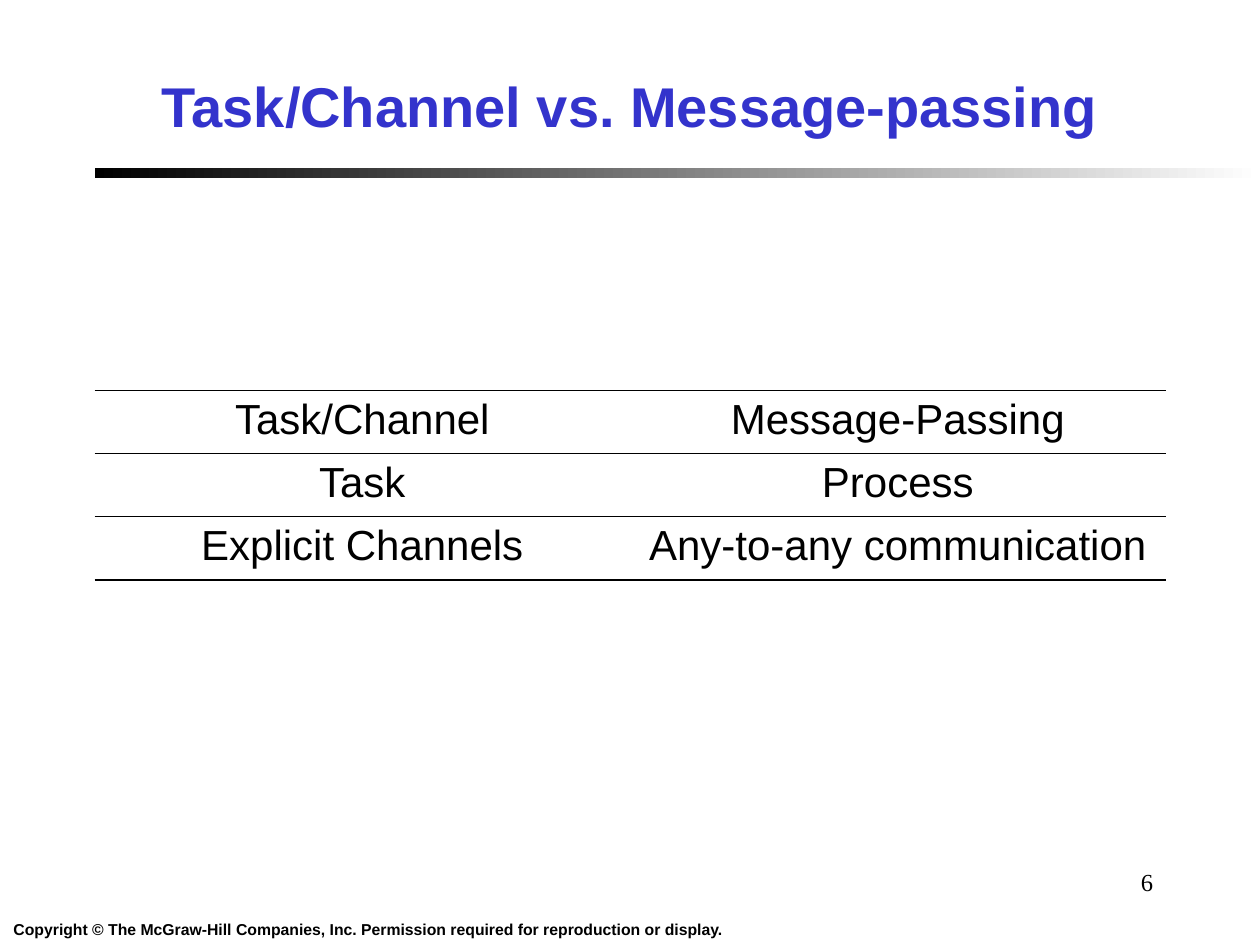
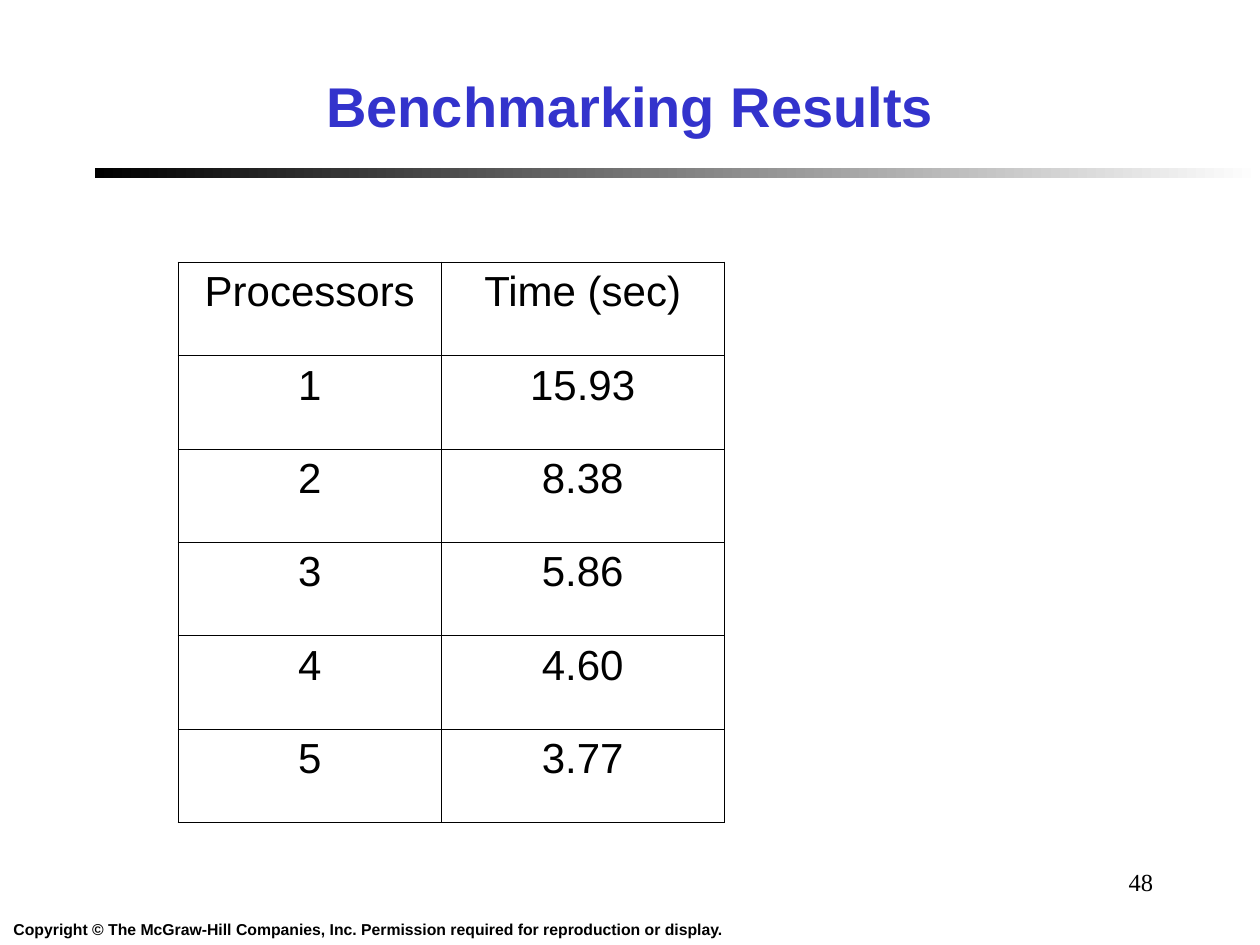
from dataclasses import dataclass

from lxml.etree import SubElement
from pptx import Presentation
from pptx.dml.color import RGBColor
from pptx.enum.shapes import MSO_SHAPE as Shape
from pptx.enum.text import MSO_ANCHOR as Anchor, PP_ALIGN as Align
from pptx.oxml.ns import qn
from pptx.util import Pt

COPYRIGHT = ("Copyright © The McGraw-Hill Companies, Inc. "
             "Permission required for reproduction or display.")

SLIDES = [
    {
        "title": "Task/Channel vs. Message-passing",
        "number": "6",
        "origin": (54, 223.2),
        "column_widths": (306, 306),
        "row_height": 36,
        "vertical_rules": False,
        "rows": [
            ("Task/Channel", "Message-Passing"),
            ("Task", "Process"),
            ("Explicit Channels", "Any-to-any communication"),
        ],
    },
    {
        "title": "Benchmarking Results",
        "number": "48",
        "origin": (102, 150),
        "column_widths": (150, 162),
        "row_height": 53.33,
        "vertical_rules": True,
        "rows": [
            ("Processors", "Time (sec)"),
            ("1", "15.93"),
            ("2", "8.38"),
            ("3", "5.86"),
            ("4", "4.60"),
            ("5", "3.77"),
        ],
    },
]


@dataclass(frozen=True)
class Theme:
    ink: str = "000000"
    paper: str = "FFFFFF"
    title_color: str = "3333CC"
    font: str = "Arial"
    number_font: str = "Times New Roman"
    title_size: float = 32
    table_size: float = 24
    number_size: float = 14
    copyright_size: float = 9
    outer_rule: float = 1.08
    inner_rule: float = 0.45


THEME = Theme()


def write(frame, text, size, font=THEME.font, color=THEME.ink, bold=False,
          align=Align.CENTER, anchor=Anchor.TOP, wrap=True):
    frame.word_wrap = wrap
    frame.vertical_anchor = anchor
    paragraph = frame.paragraphs[0]
    paragraph.alignment = align
    run = paragraph.add_run()
    run.text = text
    run.font.name = font
    run.font.size = Pt(size)
    run.font.bold = bold
    run.font.color.rgb = RGBColor.from_string(color)


def add_label(slide, box, text, **text_format):
    shape = slide.shapes.add_textbox(*map(Pt, box))
    write(shape.text_frame, text, **text_format)


def add_band(slide):
    shape = slide.shapes.add_shape(Shape.RECTANGLE, *map(Pt, (54, 96, 666, 6)))
    shape.shadow.inherit = False
    shape.line.fill.background()
    shape.fill.gradient()
    shape.fill.gradient_angle = 0
    for stop, color in zip(shape.fill.gradient_stops, (THEME.ink, THEME.paper)):
        stop.color.rgb = RGBColor.from_string(color)


def rule_cell(cell, widths):
    properties = cell._tc.get_or_add_tcPr()
    for side, width in widths.items():
        line = SubElement(properties, qn(f"a:ln{side}"), w=str(Pt(width)))
        if width:
            fill = SubElement(line, qn("a:solidFill"))
            SubElement(fill, qn("a:srgbClr"), val=THEME.ink)
        else:
            SubElement(line, qn("a:noFill"))


def add_rule_table(slide, content):
    rows, column_widths = content["rows"], content["column_widths"]
    row_height = content["row_height"]
    size = (sum(column_widths), row_height * len(rows))
    table = slide.shapes.add_table(
        len(rows), len(column_widths), *map(Pt, content["origin"] + size)).table
    table.first_row = table.horz_banding = False
    for column, width in zip(table.columns, column_widths):
        column.width = Pt(width)

    def rule_width(is_edge):
        return THEME.outer_rule if is_edge else THEME.inner_rule

    for row_index, values in enumerate(rows):
        table.rows[row_index].height = Pt(row_height)
        for column_index, value in enumerate(values):
            cell = table.cell(row_index, column_index)
            write(cell.text_frame, value, size=THEME.table_size)
            widths = {
                "L": rule_width(column_index == 0),
                "R": rule_width(column_index == len(values) - 1),
                "T": rule_width(row_index == 0),
                "B": rule_width(row_index == len(rows) - 1),
            }
            if not content["vertical_rules"]:
                widths.update(L=0, R=0)
            rule_cell(cell, widths)
            cell.fill.background()


def add_content_slide(presentation, content):
    slide = presentation.slides.add_slide(presentation.slide_layouts[6])
    add_band(slide)
    add_label(slide, (0, 522, 420.5, 18), COPYRIGHT,
              size=THEME.copyright_size, bold=True, wrap=False)
    add_label(slide, (516, 492, 150, 36), content["number"],
              size=THEME.number_size, font=THEME.number_font, align=Align.RIGHT)
    add_label(slide, (18, 24, 684, 72), content["title"], size=THEME.title_size,
              color=THEME.title_color, bold=True, anchor=Anchor.MIDDLE)
    add_rule_table(slide, content)


def main():
    presentation = Presentation()
    presentation.slide_width = Pt(720)
    presentation.slide_height = Pt(540)
    for content in SLIDES:
        add_content_slide(presentation, content)
    presentation.save("out.pptx")


if __name__ == "__main__":
    main()
